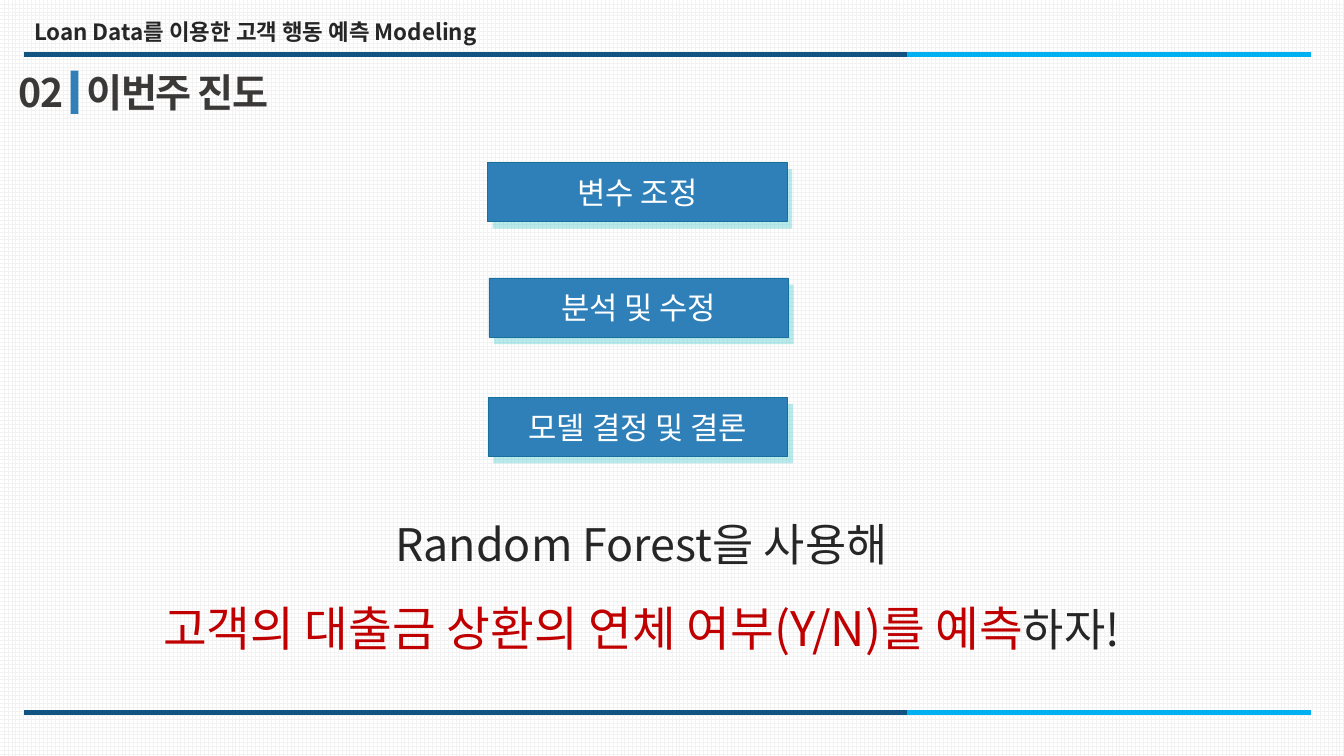
from dataclasses import dataclass

import pptx
import pptx.dml.color
import pptx.enum.dml
import pptx.enum.shapes
import pptx.enum.text
import pptx.oxml
import pptx.oxml.ns
import pptx.util

Pt = pptx.util.Pt
qn = pptx.oxml.ns.qn
Align = pptx.enum.text.PP_ALIGN


@dataclass(frozen=True)
class Theme:
    font: str = "Noto Sans CJK KR"
    white: str = "FFFFFF"
    grid: str = "F2F2F2"
    ink: str = "262626"
    title: str = "3B3838"
    red: str = "C00000"
    navy: str = "115481"
    sky: str = "00B0F0"
    blue: str = "2F80B9"
    edge: str = "18719D"
    shade: str = "19BEC4"
    head_size: float = 16
    step_size: float = 22
    title_size: float = 28
    goal_size: float = 32
    key_size: float = 34


THEME = Theme()


@dataclass(frozen=True)
class Box:
    left: float
    top: float
    width: float
    height: float

    def moved(self, right: float, down: float) -> "Box":
        return Box(self.left + right, self.top + down, self.width, self.height)


@dataclass(frozen=True)
class Span:
    text: str
    size: float
    color: str


@dataclass(frozen=True)
class Label:
    box: Box
    lines: list[list[Span]]
    bold: bool = False
    track: float = 0
    align: Align = Align.LEFT
    spacing: float = 1.0


@dataclass(frozen=True)
class Step:
    text: str
    left: float
    top: float


@dataclass(frozen=True)
class Rule:
    start: float
    end: float
    color: str


RULES = [Rule(476, 936.7, THEME.sky), Rule(17.3, 648, THEME.navy)]
RULE_TOPS = [509, 38.9]
STEPS = [
    Step("변수 조정", 348.2, 116),
    Step("분석 및 수정", 349.2, 198.5),
    Step("모델 결정 및 결론", 348.7, 283.7),
]
LABELS = [
    Label(Box(69.8, 346.3, 776.9, 149), [
        [Span("Random Forest을 사용해", THEME.goal_size, THEME.ink)],
        [Span("고객의 대출금 상환의 연체 여부(Y/N)를 예측", THEME.key_size, THEME.red),
         Span("하자!", THEME.goal_size, THEME.ink)],
    ], align=Align.CENTER, spacing=1.5),
    Label(Box(54.7, 45.4, 330.5, 41),
          [[Span("이번주 진도", THEME.title_size, THEME.title)]], bold=True, track=-1),
    Label(Box(6.5, 45.4, 47.5, 41),
          [[Span("02", THEME.title_size, THEME.title)]], bold=True, track=-1),
    Label(Box(17.3, 9.4, 740.2, 26.6),
          [[Span("Loan Data를 이용한 고객 행동 예측 Modeling", THEME.head_size, THEME.ink)]],
          bold=True),
]


def rgb(color: str) -> pptx.dml.color.RGBColor:
    return pptx.dml.color.RGBColor.from_string(color)


def style(font, span: Span) -> None:
    font.size = Pt(span.size)
    font.color.rgb = rgb(span.color)


def write(para, spans: list[Span], bold: bool = False, track: float = 0) -> None:
    """Style the paragraph by its first span; later spans override it."""
    para.font.name = THEME.font
    para.font.bold = bold
    if len(spans) == 1:
        style(para.font, spans[0])
    props = para._p.get_or_add_pPr().find(qn("a:defRPr"))
    if track:
        props.set("spc", str(round(track * 100)))
    east = pptx.oxml.parse_xml(
        f'<a:ea {pptx.oxml.ns.nsdecls("a")} typeface="{THEME.font}"/>')
    props.find(qn("a:latin")).addnext(east)
    for span in spans:
        run = para.add_run()
        run.text = span.text
        if len(spans) > 1:
            style(run.font, span)


def add_label(slide, label: Label) -> None:
    box = label.box
    shape = slide.shapes.add_textbox(
        Pt(box.left), Pt(box.top), Pt(box.width), Pt(box.height))
    frame = shape.text_frame
    frame.word_wrap = True
    frame.auto_size = pptx.enum.text.MSO_AUTO_SIZE.SHAPE_TO_FIT_TEXT
    for i, spans in enumerate(label.lines):
        para = frame.add_paragraph() if i else frame.paragraphs[0]
        para.alignment = label.align
        para.line_spacing = label.spacing
        write(para, spans, label.bold, label.track)


def add_rect(slide, box: Box, color: str):
    shape = slide.shapes.add_shape(
        pptx.enum.shapes.MSO_SHAPE.RECTANGLE,
        Pt(box.left), Pt(box.top), Pt(box.width), Pt(box.height))
    shape.shadow.inherit = False
    shape.fill.solid()
    shape.fill.fore_color.rgb = rgb(color)
    shape.line.fill.background()
    return shape


def add_step(slide, step: Step) -> None:
    box = Box(step.left, step.top, 214, 42.5)
    shade = add_rect(slide, box.moved(3.7, 4.8), THEME.shade)
    tint = shade.fill._xPr.find(qn("a:solidFill"))[0]
    tint.append(pptx.oxml.parse_xml(
        f'<a:alpha {pptx.oxml.ns.nsdecls("a")} val="30000"/>'))
    card = add_rect(slide, box, THEME.blue)
    card.line.color.rgb = rgb(THEME.edge)
    card.line.width = Pt(0.5)
    card.text_frame.vertical_anchor = pptx.enum.text.MSO_ANCHOR.MIDDLE
    para = card.text_frame.paragraphs[0]
    para.alignment = Align.CENTER
    write(para, [Span(step.text, THEME.step_size, THEME.white)])


def add_rule(slide, rule: Rule, top: float) -> None:
    line = slide.shapes.add_connector(
        pptx.enum.shapes.MSO_CONNECTOR.STRAIGHT,
        Pt(rule.start), Pt(top), Pt(rule.end), Pt(top))
    line.line.color.rgb = rgb(rule.color)
    line.line.width = Pt(3)
    line._element.spPr.append(pptx.oxml.parse_xml(
        f'<a:effectLst {pptx.oxml.ns.nsdecls("a")}/>'))


def main() -> None:
    deck = pptx.Presentation()
    deck.slide_width, deck.slide_height = Pt(960), Pt(540)
    slide = deck.slides.add_slide(deck.slide_layouts[6])
    fill = slide.background.fill
    fill.patterned()
    fill.pattern = pptx.enum.dml.MSO_PATTERN.LARGE_GRID
    fill.fore_color.rgb = rgb(THEME.grid)
    fill.back_color.rgb = rgb(THEME.white)

    for top in RULE_TOPS:
        for rule in RULES:
            add_rule(slide, rule, top)
    for label in LABELS:
        add_label(slide, label)
    add_rect(slide, Box(50.4, 50.4, 5.6, 31), THEME.blue)
    for step in STEPS:
        add_step(slide, step)
    deck.save("out.pptx")


if __name__ == "__main__":
    main()
